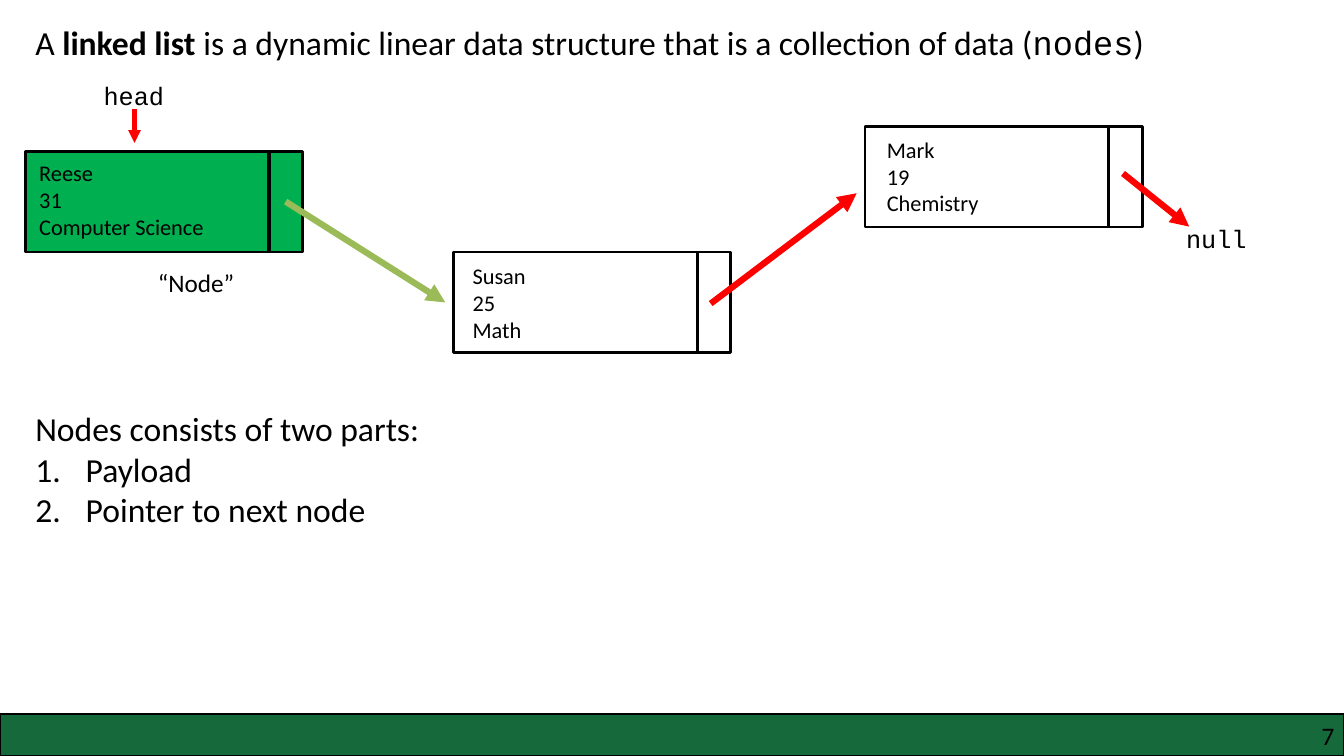
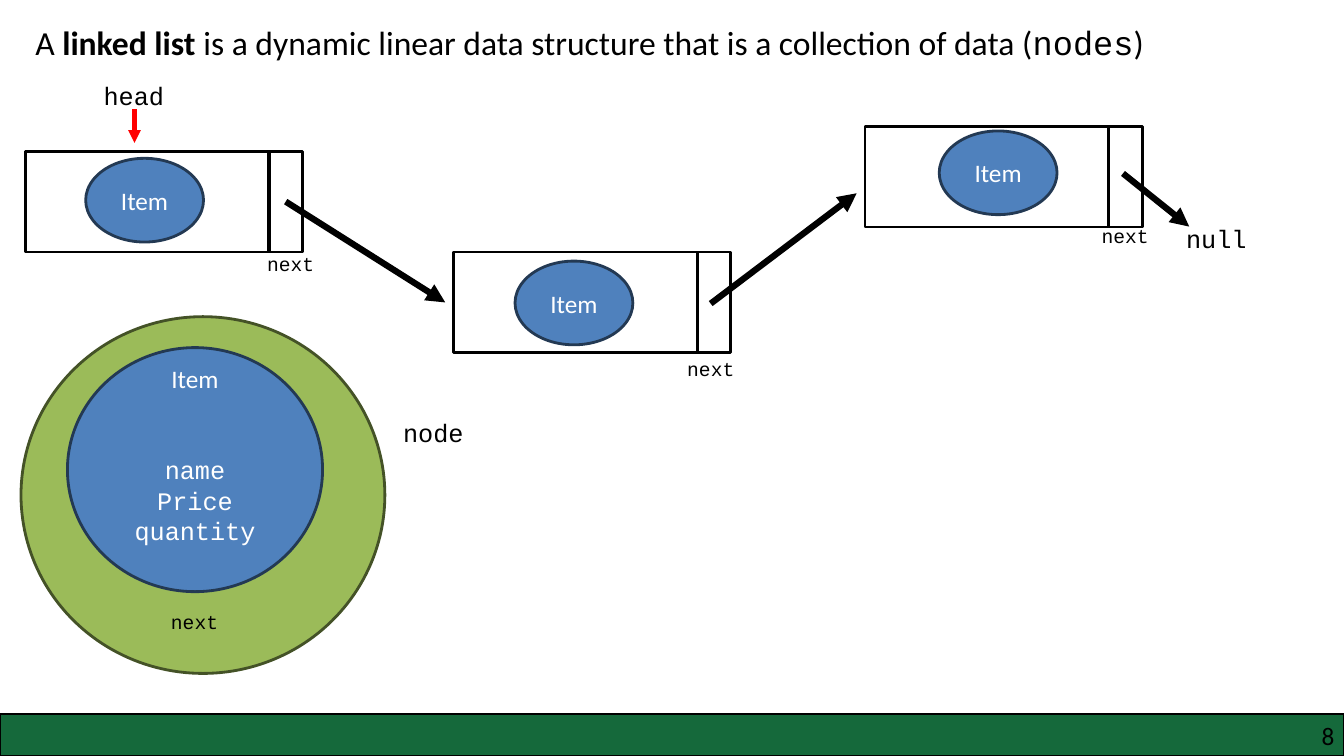
from lxml import etree
from pptx import Presentation
from pptx.dml.color import RGBColor
from pptx.enum.shapes import MSO_CONNECTOR, MSO_SHAPE
from pptx.enum.text import MSO_AUTO_SIZE, PP_ALIGN
from pptx.oxml.ns import qn
from pptx.util import Cm, Pt

STRAIGHT = MSO_CONNECTOR.STRAIGHT
RECTANGLE, OVAL = MSO_SHAPE.RECTANGLE, MSO_SHAPE.OVAL
LEFT, CENTER, RIGHT = PP_ALIGN.LEFT, PP_ALIGN.CENTER, PP_ALIGN.RIGHT
GROW = MSO_AUTO_SIZE.SHAPE_TO_FIT_TEXT

BLACK = RGBColor(0x00, 0x00, 0x00)
WHITE = RGBColor(0xFF, 0xFF, 0xFF)
RED = RGBColor(0xFF, 0x00, 0x00)
BAND_GREEN = RGBColor(0x15, 0x69, 0x3B)
HEAD_GREEN = RGBColor(0x00, 0xB0, 0x50)
LIME = RGBColor(0x9B, 0xBB, 0x59)
DARK_LIME = RGBColor(0x44, 0x52, 0x27)
BLUE = RGBColor(0x4F, 0x81, 0xBD)
NAVY = RGBColor(0x23, 0x39, 0x53)

BODY, CODE = "Calibri", "Courier New"
NODE_WIDTH, NODE_HEIGHT, POINTER_OFFSET = 6.99, 2.54, 6.14


def write(slide, lines, box, size=18, font=BODY, color=BLACK, align=LEFT, bold=False,
          numbered_from=None, outline=None, fill=None, edge=None, edge_width=2):
    area = [Cm(length) for length in box]
    if outline is None:
        holder = slide.shapes.add_textbox(*area)
        holder.text_frame.auto_size = GROW
    else:
        holder = slide.shapes.add_shape(outline, *area)
        holder.shadow.inherit = False
        holder.fill.solid()
        holder.fill.fore_color.rgb = fill
        holder.line.color.rgb = edge
        holder.line.width = Pt(edge_width)
    frame = holder.text_frame
    for index, line in enumerate(lines):
        paragraph = frame.add_paragraph() if index else frame.paragraphs[0]
        paragraph.alignment = align
        if numbered_from is not None and index >= numbered_from:
            properties = paragraph._p.get_or_add_pPr()
            properties.set("marL", str(Cm(1.27)))
            properties.set("indent", str(-Cm(1.27)))
            etree.SubElement(properties, qn("a:buFont"), typeface="+mj-lt")
            etree.SubElement(properties, qn("a:buAutoNum"), type="arabicPeriod")
        runs = [(line, font, bold)] if isinstance(line, str) else line
        for text, run_font, run_bold in runs:
            run = paragraph.add_run()
            run.text = text
            run.font.name = run_font
            run.font.size = Pt(size)
            run.font.bold = run_bold
            run.font.color.rgb = color
    return frame


def connect(slide, ends, color, width, arrow=True):
    link = slide.shapes.add_connector(STRAIGHT, *[Cm(length) for length in ends])
    link.line.color.rgb = color
    link.line.width = Pt(width)
    if arrow:
        etree.SubElement(link.line._get_or_add_ln(), qn("a:tailEnd"), type="triangle")
    etree.SubElement(link._element.spPr, qn("a:effectLst"))


deck = Presentation()
deck.slide_width, deck.slide_height = Cm(33.87), Cm(19.05)

definition = [
    ("A ", BODY, False),
    ("linked list ", BODY, True),
    ("is a dynamic linear data structure that is a collection of data (", BODY, False),
    ("nodes", CODE, False),
    (")", BODY, False),
]
node_corners = [(0.64, 3.81), (11.43, 6.35), (21.8, 3.18)]
pointers = [
    (7.2, 5.08, 11.22, 7.62),
    (17.91, 7.65, 21.59, 4.87),
    (28.3, 4.37, 29.97, 5.71),
]
students = [
    (["Reese", "31", "Computer Science"], (0.74, 3.89, 5.21, 2.31)),
    (["Susan", "25", "Math"], (11.66, 6.48, 2.13, 2.31)),
    (["Mark", "19", "Chemistry"], (22.1, 3.3, 3.07, 2.31)),
]
item_corners = [(2.16, 3.99), (12.98, 6.58), (23.67, 3.3)]
next_corners = [(6.48, 6.22), (17.07, 8.86), (27.51, 5.51), (4.06, 15.24)]
variants = [
    (7, [HEAD_GREEN, WHITE, WHITE], [LIME, RED, RED]),
    (8, [WHITE] * 3, [BLACK] * 3),
]

slides = []
for number, node_fills, pointer_colors in variants:
    slide = deck.slides.add_slide(deck.slide_layouts[6])
    slides.append(slide)
    write(slide, [], (0, 17.99, 33.87, 1.06), outline=RECTANGLE,
          fill=BAND_GREEN, edge=BLACK, edge_width=1)
    page = write(slide, [str(number)], (25.83, 18.16, 7.8, 0.76), align=RIGHT)
    page.word_wrap = True
    page.margin_left = page.margin_right = page.margin_top = page.margin_bottom = 0
    write(slide, [definition], (0.64, 0.42, 31.06, 1.28), size=24)
    for (left, top), node_fill in zip(node_corners, node_fills):
        write(slide, [], (left, top, NODE_WIDTH, NODE_HEIGHT), outline=RECTANGLE,
              fill=node_fill, edge=BLACK)
        divider = left + POINTER_OFFSET
        connect(slide, (divider, top, divider, top + NODE_HEIGHT), BLACK, 2.25, arrow=False)
    connect(slide, (3.39, 2.75, 3.39, 3.6), RED, 3)
    for ends, pointer_color in zip(pointers, pointer_colors):
        connect(slide, ends, pointer_color, 4.5)
    write(slide, ["head"], (2.36, 1.9, 2.06, 1.02), font=CODE)
    write(slide, ["null"], (29.64, 5.51, 2.06, 1.02), font=CODE)

students_slide, items_slide = slides

for details, box in students:
    write(students_slide, details, box, size=16)
write(students_slide, ["“Node”"], (3.73, 6.6, 2.49, 1.02))
write(students_slide, ["Nodes consists of two parts:", "Payload", "Pointer to next node"],
      (0.64, 10.16, 11.2, 3.33), size=24, numbered_from=1)

for left, top in item_corners:
    write(items_slide, ["Item"], (left, top, 2.97, 2.11), color=WHITE, align=CENTER,
          outline=OVAL, fill=BLUE, edge=NAVY)
write(items_slide, [], (0.53, 7.98, 9.17, 8.99), outline=OVAL, fill=LIME, edge=DARK_LIME)
fields = [[(field, CODE, False)] for field in ("name", "Price", "quantity")]
item = write(items_slide, ["Item", *fields], (1.7, 8.76, 6.43, 6.15), color=WHITE,
             align=CENTER, outline=OVAL, fill=BLUE, edge=NAVY)
item.paragraphs[1].space_before = Pt(44)
item.margin_bottom = Cm(0.9)
for left, top in next_corners:
    write(items_slide, ["next"], (left, top, 1.7, 0.86), size=14, font=CODE)
write(items_slide, ["node"], (9.91, 10.39, 2.06, 1.02), font=CODE)

deck.save("out.pptx")
